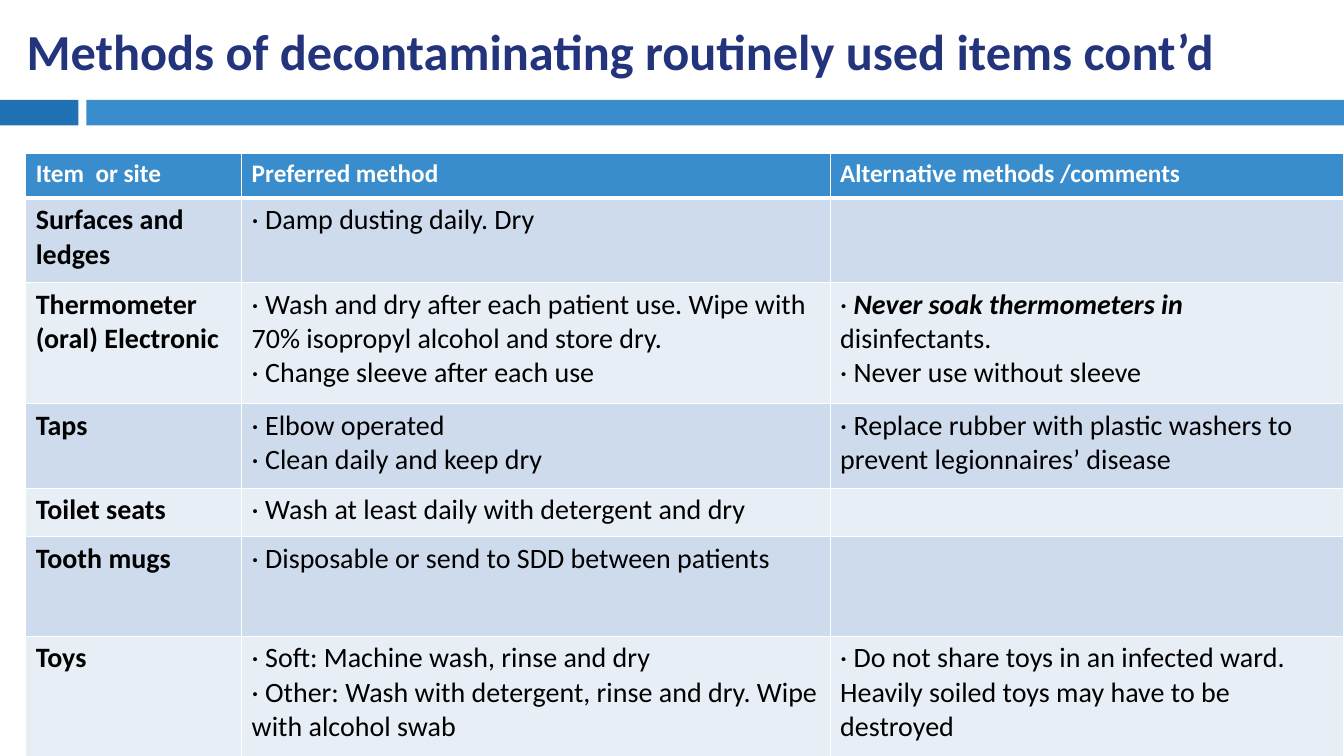
from lxml.etree import SubElement
from pptx import Presentation
from pptx.dml.color import RGBColor
from pptx.enum.shapes import MSO_SHAPE
from pptx.enum.text import MSO_ANCHOR
from pptx.oxml.ns import qn
from pptx.util import Cm, Pt

FONT = "Calibri"
COLORS = {
    "title": "23347D",
    "accent": "2172B5",
    "header": "398DCD",
    "band": "CEDBED",
    "plain": "E8EEF6",
    "text": "000000",
    "white": "FFFFFF",
}
COLUMN_WIDTHS = [5.44, 14.83, 12.95]
ROW_HEIGHTS = [1.12, 2.13, 3.05, 2.13, 1.22, 2.51, 3.05]

# A cell is a list of paragraphs; a paragraph is a list of (text, format) spans or a string.
HEADINGS = ["Item  or site", "Preferred method", "Alternative methods /comments"]
ITEMS = [
    ("Surfaces and ledges", ["· Damp dusting daily. Dry"], []),
    (
        "Thermometer (oral) Electronic",
        [
            "· Wash and dry after each patient use. Wipe with 70% isopropyl alcohol and store dry.",
            "· Change sleeve after each use",
        ],
        [
            [("· ", {}), ("Never soak thermometers in", {"bold": True, "italic": True})],
            "disinfectants.",
            "· Never use without sleeve",
        ],
    ),
    (
        "Taps",
        ["· Elbow operated", "· Clean daily and keep dry"],
        ["· Replace rubber with plastic washers to prevent legionnaires’ disease"],
    ),
    ("Toilet seats", ["· Wash at least daily with detergent and dry"], []),
    ("Tooth mugs", ["· Disposable or send to SDD between patients"], []),
    (
        "Toys",
        [
            "· Soft: Machine wash, rinse and dry",
            "· Other: Wash with detergent, rinse and dry. Wipe with alcohol swab",
        ],
        ["· Do not share toys in an infected ward. Heavily soiled toys may have to be destroyed"],
    ),
]


def color(name):
    return RGBColor.from_string(COLORS[name])


def add_span(para, text, size=20, color_name="text", bold=False, italic=False):
    span = para.add_run()
    span.text = text
    font = span.font
    font.name, font.size, font.bold, font.italic = FONT, Pt(size), bold, italic
    font.color.rgb = color(color_name)


def write_paragraphs(frame, paragraphs, **text_format):
    for index, content in enumerate(paragraphs):
        para = frame.add_paragraph() if index else frame.paragraphs[0]
        spans = [(content, {})] if isinstance(content, str) else content
        for text, changes in spans:
            add_span(para, text, **{**text_format, **changes})


def add_title(page, left, top, width, height):
    box = page.shapes.add_textbox(Cm(left), Cm(top), Cm(width), Cm(height))
    frame = box.text_frame
    frame.word_wrap = True
    frame.vertical_anchor = MSO_ANCHOR.MIDDLE
    write_paragraphs(
        frame,
        ["Methods of decontaminating routinely used items cont’d"],
        size=36, color_name="title", bold=True,
    )


def add_divider(page, left, top, width, height, accent_width=1.98, gap=0.2):
    """Draw a short accent bar followed by a long bar filling the width."""
    long_left = accent_width + gap
    bars = [(0, accent_width, "accent"), (long_left, width - long_left, "header")]
    for offset, bar_width, fill in bars:
        bar = page.shapes.add_shape(
            MSO_SHAPE.RECTANGLE, Cm(left + offset), Cm(top), Cm(bar_width), Cm(height)
        )
        bar.shadow.inherit = False
        bar.fill.solid()
        bar.fill.fore_color.rgb = color(fill)
        bar.line.fill.background()


def format_cell(cell, fill, **border_widths):
    """Set white borders, 1 pt unless a side is given, and then the fill."""
    properties = cell._tc.get_or_add_tcPr()
    for side in ("L", "R", "T", "B"):
        width = Pt(border_widths.get(side, 1))
        line = SubElement(properties, qn(f"a:ln{side}"), w=str(width))
        solid = SubElement(line, qn("a:solidFill"))
        SubElement(solid, qn("a:srgbClr"), val=COLORS["white"])
    cell.fill.solid()
    cell.fill.fore_color.rgb = color(fill)


def add_methods_table(page, left, top):
    table = page.shapes.add_table(
        len(ROW_HEIGHTS), len(COLUMN_WIDTHS), Cm(left), Cm(top),
        Cm(sum(COLUMN_WIDTHS)), Cm(sum(ROW_HEIGHTS)),
    ).table
    table.horz_banding = False
    for column, width in zip(table.columns, COLUMN_WIDTHS):
        column.width = Cm(width)
    for row, height in zip(table.rows, ROW_HEIGHTS):
        row.height = Cm(height)

    for cell, heading in zip(table.rows[0].cells, HEADINGS):
        format_cell(cell, "header", B=3)
        write_paragraphs(cell.text_frame, [heading], size=18, color_name="white", bold=True)

    for number, (item, preferred, alternative) in enumerate(ITEMS, start=1):
        fill = "band" if number % 2 else "plain"
        contents = [[item], preferred, alternative]
        for index, paragraphs in enumerate(contents):
            cell = table.cell(number, index)
            format_cell(cell, fill, T=3 if number == 1 else 1)
            write_paragraphs(cell.text_frame, paragraphs, bold=index == 0)


def main():
    deck = Presentation()
    deck.slide_width, deck.slide_height = Cm(33.87), Cm(19.05)
    page = deck.slides.add_slide(deck.slide_layouts[6])
    add_divider(page, 0, 2.52, 33.87, 0.64)
    add_methods_table(page, 0.65, 3.87)
    add_title(page, 0.42, 0.25, 33.43, 2.06)
    deck.save("out.pptx")


if __name__ == "__main__":
    main()
